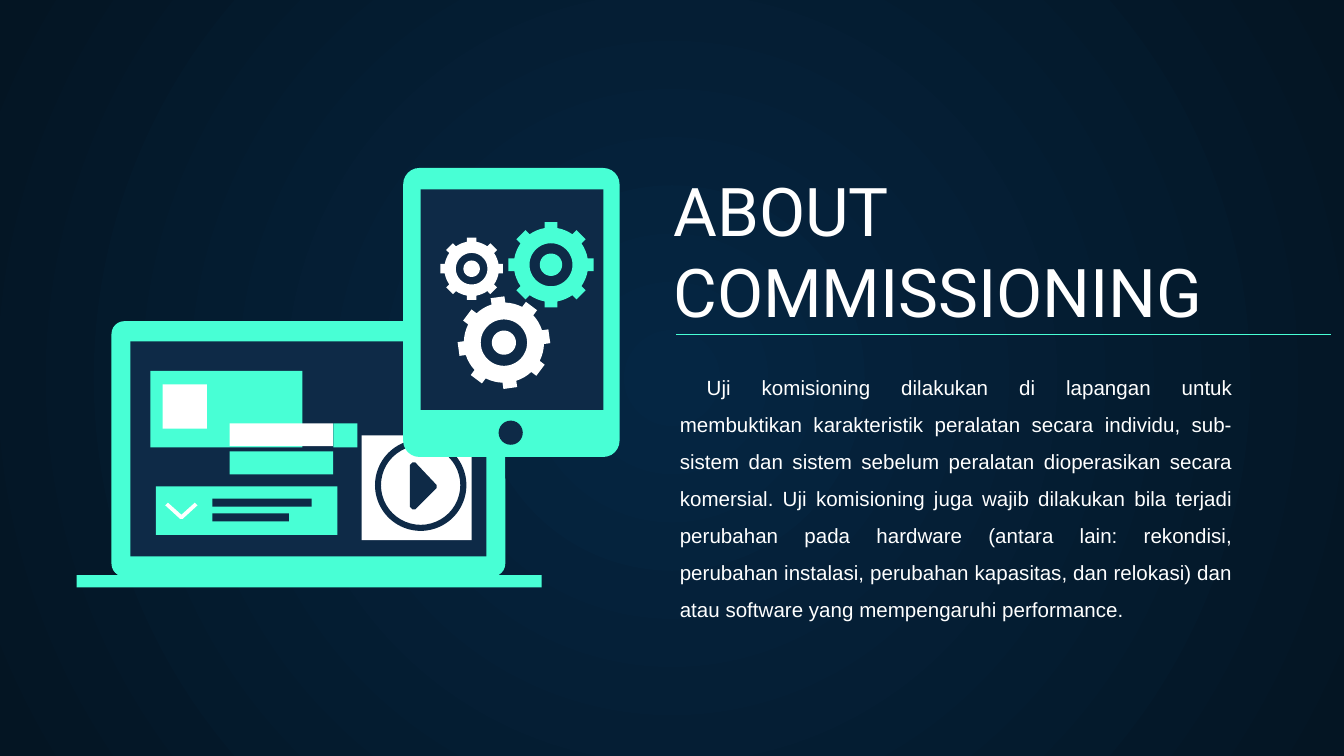
from math import cos, sin, asin, pi, radians
from lxml.etree import SubElement
from pptx import Presentation
from pptx.dml.color import RGBColor
from pptx.enum.shapes import MSO_CONNECTOR, MSO_SHAPE
from pptx.enum.text import MSO_ANCHOR, MSO_AUTO_SIZE, PP_ALIGN
from pptx.oxml.ns import qn
from pptx.util import Inches, Pt

# Content
TITLE = "ABOUT COMMISSIONING"
BODY = ("Uji komisioning dilakukan di lapangan untuk membuktikan karakteristik "
        "peralatan secara individu, sub-sistem dan sistem sebelum peralatan "
        "dioperasikan secara komersial. Uji komisioning juga wajib dilakukan bila "
        "terjadi perubahan pada hardware (antara lain: rekondisi, perubahan "
        "instalasi, perubahan kapasitas, dan relokasi) dan atau software yang "
        "mempengaruhi performance.")
COLORS = {"mint": "48FFD5", "navy": "0E2A47", "white": "FFFFFF",
          "glow": "052643", "edge": "041523"}
TITLE_FONT = {"name": "Roboto", "size": Pt(36)}
BODY_FONT = {"name": "Arial", "size": Pt(11)}

RECT, ROUND = MSO_SHAPE.RECTANGLE, MSO_SHAPE.ROUNDED_RECTANGLE
OVAL, DONUT = MSO_SHAPE.OVAL, MSO_SHAPE.DONUT
# Preset, colour, (left, top, width, height), corner or ring share
LAPTOP = [
    (ROUND, "mint", (0.83, 2.39, 2.93, 1.9), 0.05),     # frame
    (RECT, "navy", (0.97, 2.54, 2.65, 1.6), None),      # screen
    (RECT, "mint", (0.57, 4.28, 3.46, 0.09), None),     # base
    (RECT, "mint", (1.12, 2.76, 1.13, 0.57), None),     # card
    (RECT, "white", (1.21, 2.86, 0.33, 0.33), None),
    (RECT, "mint", (1.16, 3.62, 1.35, 0.36), None),     # check panel
    (RECT, "navy", (1.58, 3.71, 0.74, 0.06), None),
    (RECT, "navy", (1.58, 3.82, 0.57, 0.06), None),
    (RECT, "mint", (1.71, 3.36, 0.77, 0.17), None),     # bars
    (RECT, "white", (1.71, 3.15, 0.77, 0.17), None),
    (RECT, "mint", (2.48, 3.15, 0.18, 0.18), None),
    (RECT, "white", (2.69, 3.24, 0.82, 0.78), None),    # play button
    (DONUT, "navy", (2.79, 3.27, 0.68, 0.68), 0.066),
]
TABLET = [
    (ROUND, "mint", (3, 1.25, 1.61, 2.15), 0.075),      # frame
    (RECT, "navy", (3.13, 1.41, 1.36, 1.64), None),     # screen
    (OVAL, "navy", (3.71, 3.13, 0.18, 0.18), None),     # home button
]
CHECK = [(1.25, 3.74), (1.35, 3.83), (1.45, 3.74), (1.47, 3.76),
         (1.36, 3.86), (1.34, 3.86), (1.23, 3.76)]
PLAY = [(3.05, 3.46), (3.07, 3.44), (3.09, 3.44), (3.25, 3.61), (3.25, 3.63),
        (3.09, 3.79), (3.07, 3.79), (3.05, 3.77)]
# Colour, centre x, centre y, outer radius, turn in degrees
GEARS = [("mint", 4.1, 1.97, 0.32, 0), ("white", 3.51, 2, 0.235, 0),
         ("white", 3.75, 2.55, 0.345, -8)]
TEETH, ROOT, HALF_TOOTH, HOLE, HUB = 8, 0.865, 0.15, 0.5, 0.26


def rgb(name):
    return RGBColor.from_string(COLORS[name])


def paint(sp, color):
    sp.shadow.inherit = False
    sp.fill.solid()
    sp.fill.fore_color.rgb = rgb(color)
    sp.line.fill.background()


def add_presets(group, parts):
    for preset, color, box, share in parts:
        sp = group.shapes.add_shape(preset, *map(Inches, box))
        if share:
            sp.adjustments[0] = share
        paint(sp, color)


def add_outline(group, color, *contours):
    # The builder rounds to whole units, so points are given in EMU
    first, *others = [[(Inches(x), Inches(y)) for x, y in contour]
                      for contour in contours]
    fb = group.shapes.build_freeform(*first[0])
    fb.add_line_segments(first[1:], close=True)
    for contour in others:
        fb.move_to(*contour[0])
        fb.add_line_segments(contour[1:], close=True)
    paint(fb.convert_to_shape(), color)


def add_gear(group, color, cx, cy, radius, turn):
    def at(angle, share):
        a = angle + radians(turn)
        return cx + radius * share * sin(a), cy - radius * share * cos(a)

    step = 2 * pi / TEETH
    tip, base = asin(HALF_TOOTH), asin(HALF_TOOTH / ROOT)
    gap = step - 2 * base
    rim = []
    for k in range(TEETH):
        mid = k * step
        rim += [at(mid - base, ROOT), at(mid - tip, 1),
                at(mid + tip, 1), at(mid + base, ROOT)]
        rim += [at(mid + base + gap * j / 4, ROOT) for j in (1, 2, 3)]
    circles = [[at(2 * pi * j / 48, share) for j in range(48)]
               for share in (HOLE, HUB)]
    add_outline(group, color, rim, *circles)


def write(sp, box, text, font, align, anchor):
    sp.left, sp.top, sp.width, sp.height = map(Inches, box)
    tf = sp.text_frame
    frame = {"word_wrap": True, "auto_size": MSO_AUTO_SIZE.NONE,
             "vertical_anchor": anchor}
    frame.update({f"margin_{side}": Inches(0.1)
                  for side in ("left", "top", "right", "bottom")})
    for key, value in frame.items():
        setattr(tf, key, value)
    p = tf.paragraphs[0]
    p.alignment = align
    r = p.add_run()
    r.text = text
    for key, value in font.items():
        setattr(r.font, key, value)
    r.font.color.rgb = rgb("white")
    return p


prs = Presentation()
prs.slide_width = Inches(10)
prs.slide_height = prs.slide_width * 9 // 16
s = prs.slides.add_slide(prs.slide_layouts[5])

# Radial background
fill = s.background.fill
fill.gradient()
for stop, position, color in zip(fill.gradient_stops, (0, 1), ("glow", "edge")):
    stop.position = position
    stop.color.rgb = rgb(color)
grad = s.element.find(".//" + qn("a:gradFill"))
grad.remove(grad.find(qn("a:lin")))
circle = SubElement(grad, qn("a:path"), path="circle")
SubElement(circle, qn("a:fillToRect"), dict.fromkeys("ltrb", "50000"))

# Title and body
write(s.shapes.title, (4.91, 1.9, 4.44, 0.66), TITLE, TITLE_FONT,
      PP_ALIGN.LEFT, MSO_ANCHOR.BOTTOM)
p = write(s.shapes.add_textbox(0, 0, 0, 0), (4.66, 2.6, 4.61, 2.28), BODY,
          BODY_FONT, PP_ALIGN.JUSTIFY, MSO_ANCHOR.TOP)
p.line_spacing, p.space_after = 1.5, Pt(8)
pPr = p._p.get_or_add_pPr()
pPr.set("marL", str(Inches(0.3)))
pPr.set("indent", str(Inches(0.2)))

# Rule under the title
rule = s.shapes.add_connector(MSO_CONNECTOR.STRAIGHT,
                              *map(Inches, (5.03, 2.49, 9.9, 2.49)))
rule.line.color.rgb = rgb("mint")
rule.line.width = Pt(0.75)
SubElement(rule._element.spPr, qn("a:effectLst"))

# Laptop and tablet
devices = s.shapes.add_group_shape()
add_presets(devices, LAPTOP)
add_outline(devices, "white", CHECK)
add_outline(devices, "navy", PLAY)
add_presets(devices, TABLET)
for gear in GEARS:
    add_gear(devices, *gear)

prs.save("out.pptx")
